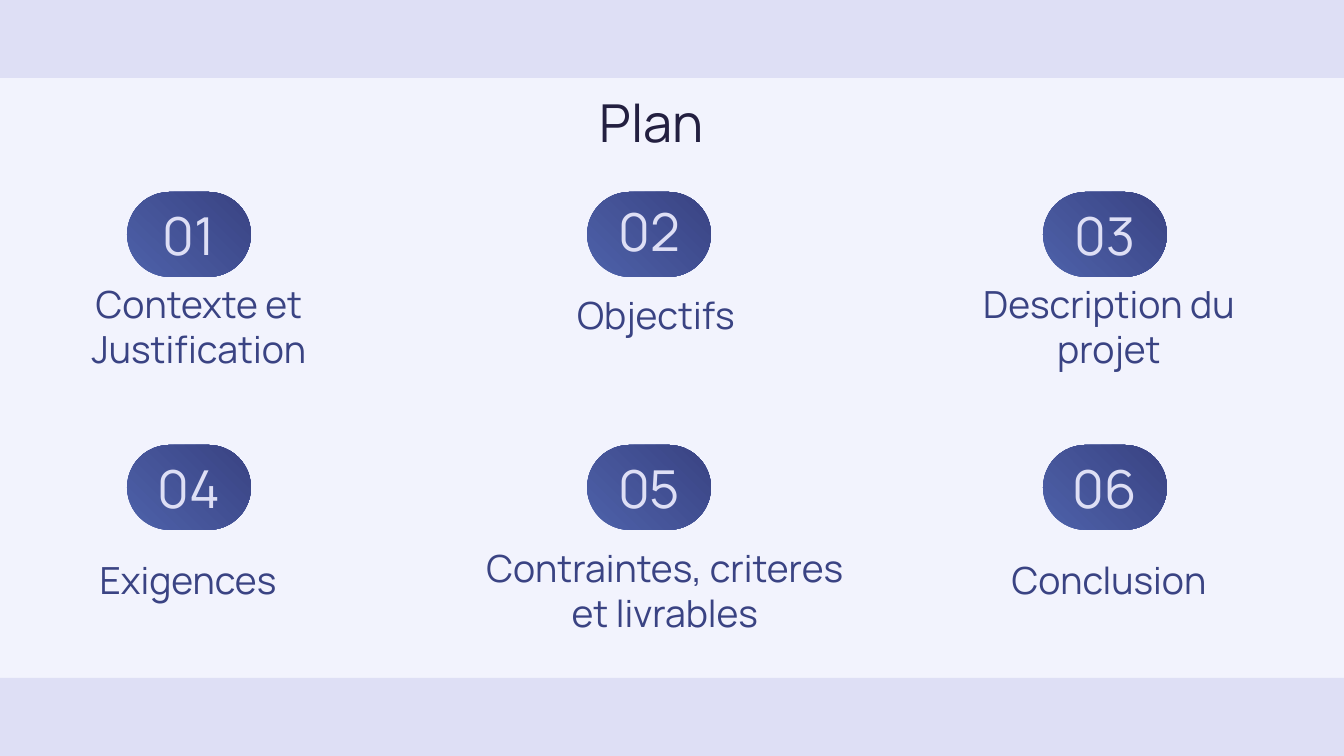
from pptx import Presentation
from pptx import util as u
from pptx.dml.color import RGBColor
from pptx.enum import shapes, text

PX = 914400 / 134.4
WIDTH, HEIGHT, BAND = 1344, 756, 78
FONT = "Manrope"
BACKGROUND = RGBColor(0xF2, 0xF3, 0xFD)
LAVENDER = RGBColor(0xDE, 0xDF, 0xF5)
BLUE = RGBColor(0x4D, 0x61, 0xA9)
INDIGO = RGBColor(0x3A, 0x43, 0x83)
NAVY = RGBColor(0x23, 0x1F, 0x40)

COLUMNS = (127, 587, 1043)
ROWS = (192, 445)
PILL_WIDTH, PILL_HEIGHT = 124, 85
NUMBER_HEIGHT, LABEL_HEIGHT = 50, 65
TOPICS = (
    ("Contexte et Justification", 210, (27, 294, 344)),
    ("Objectifs", 206, (484, 282, 344)),
    ("Description du projet", 210, (937, 294, 344)),
    ("Exigences", 463, (16, 547, 344)),
    ("Contraintes, criteres et livrables", 463, (462, 558, 406)),
    ("Conclusion", 463, (937, 547, 344)),
)


def px(*lengths):
    return [u.Emu(round(length * PX)) for length in lengths]


class PlanSlide:
    def __init__(self, presentation):
        self.slide = presentation.slides.add_slide(presentation.slide_layouts[5])
        fill = self.slide.background.fill
        fill.solid()
        fill.fore_color.rgb = BACKGROUND

    def shape(self, kind, *box):
        shape = self.slide.shapes.add_shape(kind, *px(*box))
        shape.shadow.inherit = False
        shape.line.fill.background()
        return shape

    def band(self, top):
        shape = self.shape(shapes.MSO_SHAPE.RECTANGLE, 0, top, WIDTH, BAND)
        shape.fill.solid()
        shape.fill.fore_color.rgb = LAVENDER

    def pill(self, left, top):
        shape = self.shape(
            shapes.MSO_SHAPE.ROUNDED_RECTANGLE, left, top, PILL_WIDTH, PILL_HEIGHT
        )
        shape.adjustments[0] = 0.5
        shape.fill.gradient()
        shape.fill.gradient_angle = 45
        for stop, position, color in zip(
            shape.fill.gradient_stops, (0, 1), (BLUE, INDIGO)
        ):
            stop.position = position
            stop.color.rgb = color

    def set_text(self, shape, wording, size, color):
        frame = shape.text_frame
        frame.text = wording
        frame.word_wrap = True
        frame.auto_size = text.MSO_AUTO_SIZE.NONE
        frame.vertical_anchor = text.MSO_ANCHOR.MIDDLE
        frame.margin_left = frame.margin_right = u.Inches(0.1)
        frame.margin_top = frame.margin_bottom = u.Inches(0.1)
        paragraph = frame.paragraphs[0]
        paragraph.alignment = text.PP_ALIGN.CENTER
        font = paragraph.runs[0].font
        font.name, font.size, font.color.rgb = FONT, u.Pt(size), color

    def title(self, wording, *box):
        title = self.slide.shapes.title
        title.left, title.top, title.width, title.height = px(*box)
        self.set_text(title, wording, 28, NAVY)

    def text(self, wording, size, color, *box):
        self.set_text(self.slide.shapes.add_textbox(*px(*box)), wording, size, color)


def main():
    presentation = Presentation()
    presentation.slide_width, presentation.slide_height = px(WIDTH, HEIGHT)
    plan = PlanSlide(presentation)
    for top in (0, HEIGHT - BAND):
        plan.band(top)
    plan.title("Plan", 148, 79, 1007, 85)
    for index, (label, number_top, (left, top, width)) in enumerate(TOPICS):
        row, column = divmod(index, len(COLUMNS))
        pill_left = COLUMNS[column]
        plan.pill(pill_left, ROWS[row])
        plan.text(f"{index + 1:02}", 28, LAVENDER,
                  pill_left, number_top, PILL_WIDTH, NUMBER_HEIGHT)
        plan.text(label, 20, INDIGO, left, top, width, LABEL_HEIGHT)
    presentation.save("out.pptx")


if __name__ == "__main__":
    main()
